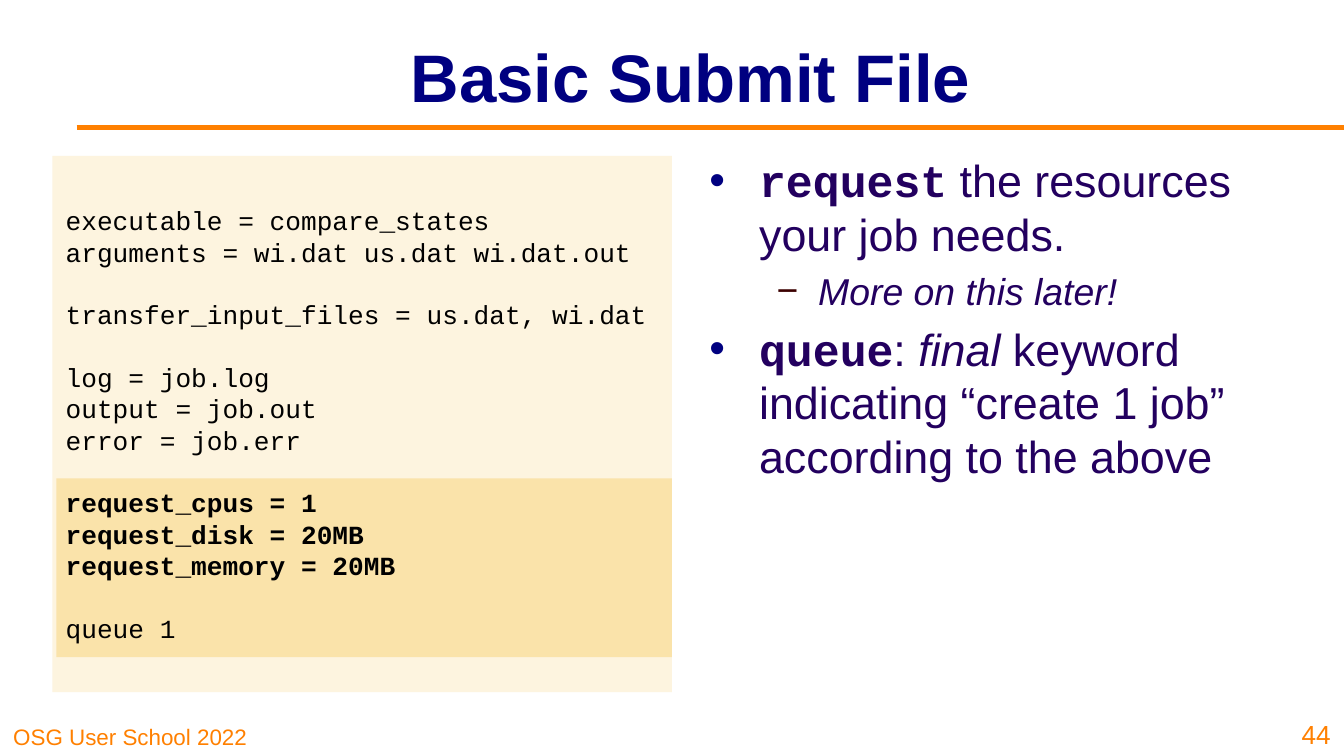
from dataclasses import dataclass

from lxml import etree
from pptx import Presentation
from pptx.dml.color import RGBColor
from pptx.enum.shapes import MSO_CONNECTOR as Connector, MSO_SHAPE as Shape
from pptx.enum.text import MSO_ANCHOR as Anchor, PP_ALIGN as Align
from pptx.oxml.ns import qn
from pptx.util import Inches, Pt


@dataclass(frozen=True)
class Theme:
    sans: str = "Arial"
    mono: str = "Courier New"
    navy: str = "000080"
    purple: str = "23005F"
    maroon: str = "3C0000"
    orange: str = "FF8000"
    black: str = "000000"
    cream: str = "FDF4DF"
    amber: str = "FAE3AA"
    title_size: int = 36
    body_size: int = 24
    sub_size: int = 20
    code_size: int = 14
    code_line: float = 16.75
    footer_size: int = 12


THEME = Theme()
SLIDE_WIDTH = 10
SLIDE_HEIGHT = SLIDE_WIDTH * 9 / 16

# Each block is (lines, bold); blocks are one line apart
CODE_BLOCKS = [
    (["executable = compare_states", "arguments = wi.dat us.dat wi.dat.out"], False),
    (["transfer_input_files = us.dat, wi.dat"], False),
    (["log = job.log", "output = job.out", "error = job.err"], False),
    (["request_cpus = 1", "request_disk = 20MB", "request_memory = 20MB"], True),
    (["queue 1"], False),
]

# Each point is (level, runs); each run is (text, style)
POINTS = [
    (0, [("request", "code"), (" the resources your job needs.", "plain")]),
    (1, [("More on this later!", "italic")]),
    (0, [("queue", "code"), (": ", "plain"), ("final", "italic"),
         (" keyword indicating “create 1 job” according to the above", "plain")]),
]


def style_font(font, name, size, color, bold=False):
    font.name, font.size, font.bold = name, Pt(size), bold
    font.color.rgb = RGBColor.from_string(color)


def add_text_frame(slide, box, anchor=Anchor.TOP):
    frame = slide.shapes.add_textbox(*map(Inches, box)).text_frame
    frame.word_wrap = True
    frame.vertical_anchor = anchor
    return frame


def add_label(slide, box, text, size, color, align, anchor, bold=False):
    paragraph = add_text_frame(slide, box, anchor).paragraphs[0]
    paragraph.text = text
    paragraph.alignment = align
    style_font(paragraph.font, THEME.sans, size, color, bold)


def add_panel(slide, box, color):
    panel = slide.shapes.add_shape(Shape.RECTANGLE, *map(Inches, box))
    panel.shadow.inherit = False
    panel.fill.solid()
    panel.fill.fore_color.rgb = RGBColor.from_string(color)
    panel.line.fill.background()


def add_bullet(paragraph, symbol, color, margin, hanging):
    properties = paragraph._p.get_or_add_pPr()
    properties.set("marL", str(Inches(margin)))
    properties.set("indent", str(-Inches(hanging)))
    bullet_color = etree.SubElement(properties, qn("a:buClr"))
    etree.SubElement(bullet_color, qn("a:srgbClr"), val=color)
    etree.SubElement(properties, qn("a:buFont"), typeface=THEME.sans)
    etree.SubElement(properties, qn("a:buChar"), char=symbol)


def add_header(slide, box):
    left, top, width, height = box
    # Rule under the title, running to the right edge
    rule_y = Inches(top + height - 0.08)
    rule = slide.shapes.add_connector(
        Connector.STRAIGHT, Inches(0.57), rule_y, Inches(SLIDE_WIDTH), rule_y)
    rule.line.color.rgb = RGBColor.from_string(THEME.orange)
    rule.line.width = Pt(3)
    etree.SubElement(rule._element.spPr, qn("a:effectLst"))
    add_label(slide, box, "Basic Submit File", THEME.title_size, THEME.navy,
              Align.CENTER, Anchor.MIDDLE, bold=True)


def add_points(slide, box):
    frame = add_text_frame(slide, box)
    for index, (level, runs) in enumerate(POINTS):
        paragraph = frame.paragraphs[0] if index == 0 else frame.add_paragraph()
        paragraph.level = level
        if index:
            paragraph.space_before = Pt(4.25)
        if level == 0:
            add_bullet(paragraph, "•", THEME.navy, 0.37, 0.37)
        else:
            add_bullet(paragraph, "−", THEME.maroon, 0.81, 0.31)
        size = THEME.sub_size if level else THEME.body_size
        for text, style in runs:
            run = paragraph.add_run()
            run.text = text
            is_code = style == "code"
            style_font(run.font, THEME.mono if is_code else THEME.sans,
                       size, THEME.purple, is_code)
            run.font.italic = style == "italic"


def add_code(slide, box):
    left, top, width, height = box
    add_panel(slide, box, THEME.cream)
    # Highlight behind the request and queue lines
    add_panel(slide, (left + 0.03, top + 2.4, width - 0.03, 1.33), THEME.amber)
    frame = add_text_frame(slide, box, Anchor.MIDDLE)
    paragraph = None
    for lines, bold in CODE_BLOCKS:
        for index, line in enumerate(lines):
            if paragraph is None:
                paragraph = frame.paragraphs[0]
            else:
                paragraph = frame.add_paragraph()
                if index == 0:
                    paragraph.space_before = Pt(THEME.code_line)
            paragraph.text = line
            style_font(paragraph.font, THEME.mono, THEME.code_size,
                       THEME.black, bold)


def add_footer(slide, box):
    left, top, width, height = box
    add_label(slide, (left, top + 0.06, 2.48, height - 0.06), "OSG User School 2022",
              THEME.footer_size, THEME.orange, Align.LEFT, Anchor.BOTTOM)
    add_label(slide, (left + width - 0.46, top, 0.46, height), "44",
              THEME.code_size, THEME.orange, Align.RIGHT, Anchor.BOTTOM)


def main():
    presentation = Presentation()
    presentation.slide_width = Inches(SLIDE_WIDTH)
    presentation.slide_height = Inches(SLIDE_HEIGHT)
    slide = presentation.slides.add_slide(presentation.slide_layouts[6])
    add_header(slide, (1.34, 0.09, 7.6, 0.94))
    add_points(slide, (5.18, 1.09, 4.17, 3.84))
    add_code(slide, (0.39, 1.16, 4.61, 3.99))
    add_footer(slide, (0, 5.25, SLIDE_WIDTH, 0.38))
    presentation.save("out.pptx")


if __name__ == "__main__":
    main()
